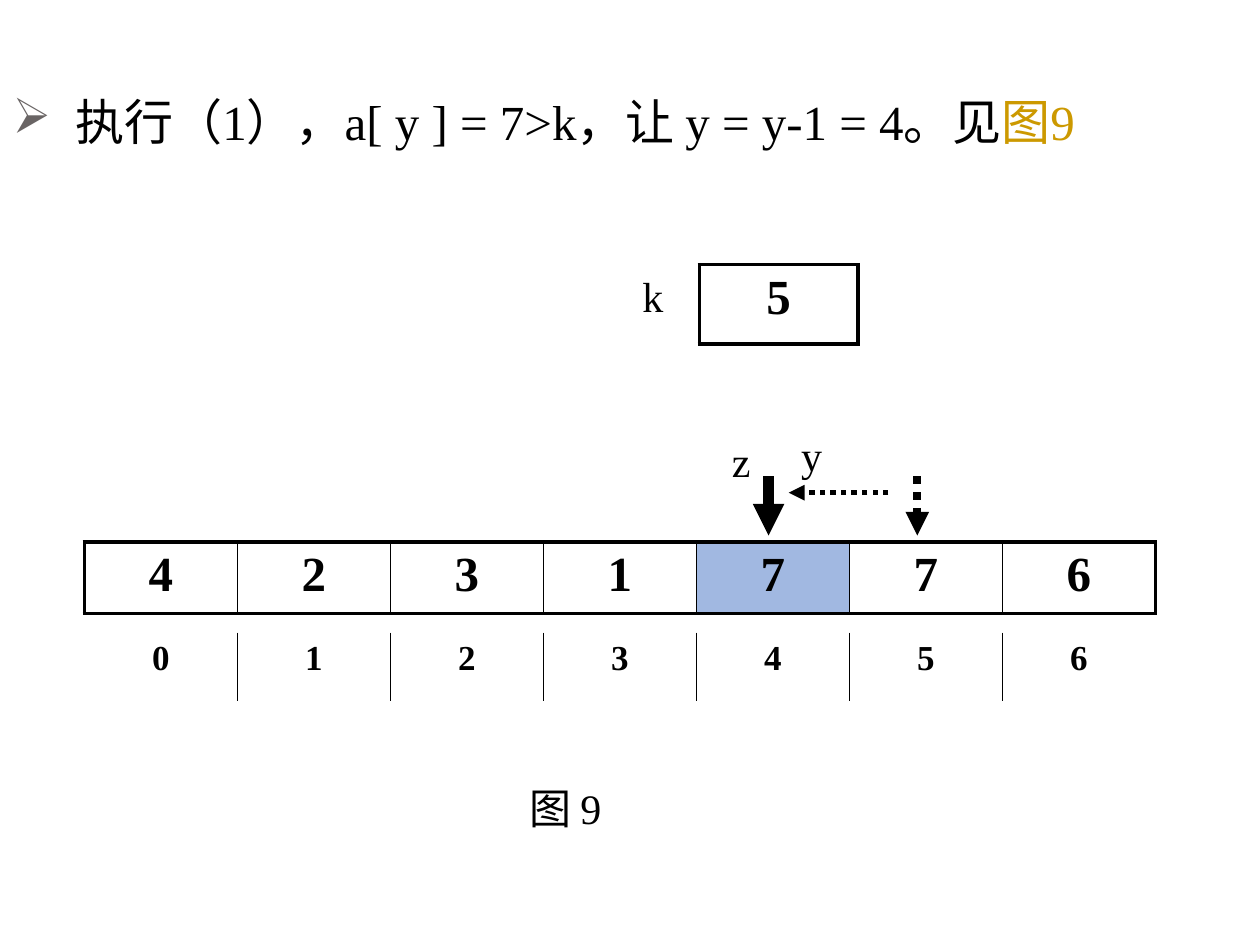
from dataclasses import dataclass

from lxml.etree import SubElement
from pptx import Presentation
from pptx.dml.color import RGBColor
from pptx.enum.dml import MSO_LINE_DASH_STYLE as Dash
from pptx.enum.shapes import MSO_CONNECTOR as Conn
from pptx.enum.text import MSO_ANCHOR as Anchor, MSO_AUTO_SIZE as AutoSize, PP_ALIGN as Align
from pptx.oxml import parse_xml
from pptx.oxml.ns import nsdecls, qn
from pptx.util import Emu, Inches, Pt

FONT = "Times New Roman"
COLORS = {"ink": "000000", "bullet": "696464", "link": "CC9900", "pivot": "4472C4"}
COLS, ROWS = 100, 75  # layout grid of the slide
THICK, THIN = 2.25, 1

prs = Presentation()
prs.slide_width, prs.slide_height = Inches(10), Inches(7.5)


@dataclass
class Label:
    text: str
    col: float
    row: float
    width: float


@dataclass
class Arrow:
    start: tuple[float, float]
    end: tuple[float, float]
    weight: float
    dotted: bool = False


@dataclass
class CellRow:
    values: str
    col: float
    row: float
    width: float
    height: float
    size: int
    outer: float  # border width around the row, 0 for none
    marked: int = -1


def gx(col: float) -> Emu:
    return Emu(round(prs.slide_width * col / COLS))


def gy(row: float) -> Emu:
    return Emu(round(prs.slide_height * row / ROWS))


def color(name: str) -> RGBColor:
    return RGBColor.from_string(COLORS[name])


def add_run(p, text: str, size: int, name: str = "ink", bold: bool = False) -> None:
    r = p.add_run()
    r.text = text
    r.font.name, r.font.size, r.font.bold = FONT, Pt(size), bold
    r.font.color.rgb = color(name)


def set_borders(cell, widths: dict[str, float]) -> None:
    """Border widths in points by side (L, R, T, B); 0 hides a side."""
    tc_pr = cell._tc.get_or_add_tcPr()
    for i, (side, width) in enumerate(widths.items()):
        fill = (f'<a:solidFill><a:srgbClr val="{COLORS["ink"]}"/></a:solidFill>'
                if width else "<a:noFill/>")
        tc_pr.insert(i, parse_xml(
            f'<a:ln{side} {nsdecls("a")} w="{Pt(width)}">{fill}</a:ln{side}>'))


def add_cells(s, spec: CellRow) -> None:
    n = len(spec.values)
    frame = s.shapes.add_table(1, n, gx(spec.col), gy(spec.row),
                               gx(spec.width), gy(spec.height))
    table = frame.table
    table.first_row = table.horz_banding = False
    for i, value in enumerate(spec.values):
        table.columns[i].width = gx(spec.width / n)
        cell = table.cell(0, i)
        if i == spec.marked:
            cell.fill.solid()
            cell.fill.fore_color.rgb = color("pivot")
            rgb = next(cell._tc.tcPr.iter(qn("a:srgbClr")))
            SubElement(rgb, qn("a:alpha")).set("val", "50000")
        else:
            cell.fill.background()
        set_borders(cell, {"L": THIN if i else spec.outer,
                           "R": THIN if i < n - 1 else spec.outer,
                           "T": spec.outer, "B": spec.outer})
        p = cell.text_frame.paragraphs[0]
        p.alignment = Align.CENTER
        add_run(p, value, spec.size, bold=True)


def add_label(s, label: Label) -> None:
    tf = s.shapes.add_textbox(gx(label.col), gy(label.row), gx(label.width), gy(5)).text_frame
    tf.word_wrap, tf.auto_size = True, AutoSize.SHAPE_TO_FIT_TEXT
    add_run(tf.paragraphs[0], label.text, 24)


def add_arrow(s, arrow: Arrow) -> None:
    (x1, y1), (x2, y2) = arrow.start, arrow.end
    line = s.shapes.add_connector(Conn.STRAIGHT, gx(x1), gy(y1), gx(x2), gy(y2))
    line.line.color.rgb = color("ink")
    line.line.width = Pt(arrow.weight)
    if arrow.dotted:
        line.line.dash_style = Dash.ROUND_DOT  # written as sysDot
    SubElement(line.line._get_or_add_ln(), qn("a:tailEnd")).set("type", "triangle")
    SubElement(line._element.spPr, qn("a:effectLst"))


def add_step(s) -> None:
    title = s.shapes.title
    title.left, title.top, title.width, title.height = gx(0), gy(6.8), gx(100), gy(5.7)
    tf = title.text_frame
    tf.word_wrap, tf.auto_size = True, AutoSize.SHAPE_TO_FIT_TEXT
    tf.vertical_anchor = Anchor.TOP
    p = tf.paragraphs[0]
    p.alignment = Align.LEFT
    p_pr = p._p.get_or_add_pPr()
    p_pr.set("marL", str(gx(5)))
    p_pr.set("indent", str(-gx(5)))
    SubElement(SubElement(p_pr, qn("a:buClr")), qn("a:srgbClr")).set("val", COLORS["bullet"])
    SubElement(p_pr, qn("a:buChar")).set("char", "➢")
    add_run(p, "执行（1），a[ y ] = 7>k，让 y = y-1 = 4。见", 28)
    add_run(p, "图9", 28, "link")


CELL_ROWS = [
    CellRow("4231776", 6.7, 43, 85, 5.7, 28, THICK, marked=4),
    CellRow("0123456", 6.7, 50.2, 85, 5.4, 20, 0),
    CellRow("5", 55.5, 21, 12.6, 6.3, 28, THICK),
]
LABELS = [
    Label("z", 57.1, 34.1, 4.3),
    Label("y", 62.6, 33.6, 4.3),
    Label("图 9", 41, 61.6, 12.2),
    Label("k", 50, 21, 8.7),
]
ARROWS = [
    Arrow((61, 37.8), (61, 42.5), 6),
    Arrow((72.8, 37.8), (72.8, 42.5), 4.5, dotted=True),
    Arrow((70.5, 39.1), (62.6, 39.1), 3, dotted=True),
]


def main() -> None:
    s = prs.slides.add_slide(prs.slide_layouts[5])
    add_step(s)
    for cells in CELL_ROWS:
        add_cells(s, cells)
    for label in LABELS:
        add_label(s, label)
    for arrow in ARROWS:
        add_arrow(s, arrow)
    prs.save("out.pptx")


if __name__ == "__main__":
    main()
